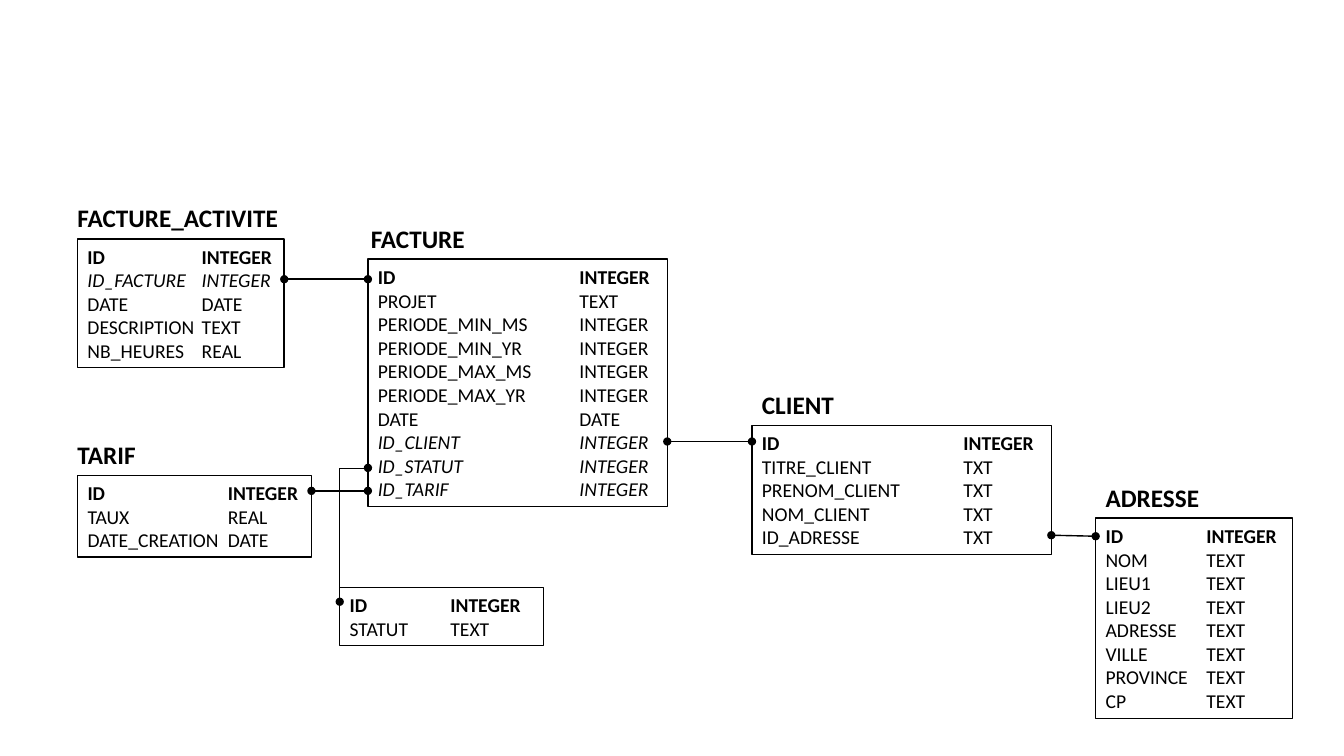
import pptx
import pptx.util
import pptx.dml.color
import pptx.enum.shapes
import pptx.enum.text
import pptx.oxml
import pptx.oxml.ns
from collections import namedtuple

BLACK = pptx.dml.color.RGBColor(0, 0, 0)
WHITE = pptx.dml.color.RGBColor(255, 255, 255)
FONT = "Calibri"
NS = pptx.oxml.ns.nsdecls("a")
qn = pptx.oxml.ns.qn

# Grid of 160 columns by 90 rows
presentation = pptx.Presentation()
presentation.slide_width = pptx.util.Inches(13.33)
presentation.slide_height = pptx.util.Inches(7.5)
COLUMN = presentation.slide_width / 160
ROW = presentation.slide_height / 90
LINE_ROWS, PADDING_ROWS, TITLE_ROWS = 2.83, 1.2, 4.9

# left, top, width and type_tab are in grid units; title_shift moves the title sideways
Entity = namedtuple("Entity", "title left top width type_tab title_shift fields")

ENTITIES = {
    "facture": Entity("FACTURE", 43.8, 30.84, 35.64, 24, -0.84, [
        ("ID", "INTEGER", "key"), ("PROJET", "TEXT", ""),
        ("PERIODE_MIN_MS", "INTEGER", ""), ("PERIODE_MIN_YR", "INTEGER", ""),
        ("PERIODE_MAX_MS", "INTEGER", ""), ("PERIODE_MAX_YR", "INTEGER", ""),
        ("DATE", "DATE", ""), ("ID_CLIENT", "INTEGER", "foreign"),
        ("ID_STATUT", "INTEGER", "foreign"), ("ID_TARIF", "INTEGER", "foreign")]),
    "client": Entity("CLIENT", 89.52, 50.64, 35.64, 24, 0, [
        ("ID", "INTEGER", "key"), ("TITRE_CLIENT", "TXT", ""),
        ("PRENOM_CLIENT", "TXT", ""), ("NOM_CLIENT", "TXT", ""),
        ("ID_ADRESSE", "TXT", "")]),
    "adresse": Entity("ADRESSE", 130.44, 61.68, 23.4, 12, 0, [
        ("ID", "INTEGER", "key"), ("NOM", "TEXT", ""), ("LIEU1", "TEXT", ""),
        ("LIEU2", "TEXT", ""), ("ADRESSE", "TEXT", ""), ("VILLE", "TEXT", ""),
        ("PROVINCE", "TEXT", ""), ("CP", "TEXT", "")]),
    "activite": Entity("FACTURE_ACTIVITE", 9.24, 28.44, 24.6, 13.6, -1.2, [
        ("ID", "INTEGER", "key"), ("ID_FACTURE", "INTEGER", "foreign"),
        ("DATE", "DATE", ""), ("DESCRIPTION", "TEXT", ""), ("NB_HEURES", "REAL", "")]),
    "tarif": Entity("TARIF", 9.24, 56.64, 27.84, 16.7, -1.2, [
        ("ID", "INTEGER", "key"), ("TAUX", "REAL", ""), ("DATE_CREATION", "DATE", "")]),
    "statut": Entity("", 40.44, 69.96, 24.24, 12, 0, [
        ("ID", "INTEGER", "key"), ("STATUT", "TEXT", "")]),
}


def place(left, top, width, height):
    return [round(v) for v in (left * COLUMN, top * ROW, width * COLUMN, height * ROW)]


def write(paragraph, text, size, bold=False, italic=False):
    paragraph.text = text
    paragraph.alignment = pptx.enum.text.PP_ALIGN.LEFT
    font = paragraph.font
    font.name, font.size = FONT, pptx.util.Pt(size)
    font.bold, font.italic = bold, italic
    font.color.rgb = BLACK


def add_title(slide, entity):
    caption = slide.shapes.add_textbox(*place(
        entity.left + entity.title_shift, entity.top - TITLE_ROWS, 27, TITLE_ROWS))
    caption.text_frame.word_wrap = True
    write(caption.text_frame.paragraphs[0], entity.title, 18, bold=True)


def add_entity(slide, entity):
    height = len(entity.fields) * LINE_ROWS + PADDING_ROWS
    frame = slide.shapes.add_shape(
        pptx.enum.shapes.MSO_SHAPE.RECTANGLE,
        *place(entity.left, entity.top, entity.width, height))
    frame.shadow.inherit = False
    frame.fill.solid()
    frame.fill.fore_color.rgb = WHITE
    frame.line.color.rgb = BLACK
    frame.line.width = pptx.util.Pt(1)
    body = frame.text_frame
    body.word_wrap = True
    body.vertical_anchor = pptx.enum.text.MSO_ANCHOR.MIDDLE
    for index, (name, kind, role) in enumerate(entity.fields):
        paragraph = body.add_paragraph() if index else body.paragraphs[0]
        write(paragraph, f"{name}\t{kind}", 14, role == "key", role == "foreign")
        # Tab stop that lines up the field types
        paragraph._p.get_or_add_pPr().insert(0, pptx.oxml.parse_xml(
            f'<a:tabLst {NS}><a:tab pos="{round(entity.type_tab * COLUMN)}" algn="l"/></a:tabLst>'))
    if entity.title:
        add_title(slide, entity)


def add_relation(slide, kind, start, end, weight):
    left, top, right, bottom = place(*start, *end)
    relation = slide.shapes.add_connector(kind, left, top, right, bottom)
    relation.line.color.rgb = BLACK
    relation.line.width = pptx.util.Pt(weight)
    properties = relation._element.spPr
    for end_name in ("headEnd", "tailEnd"):
        properties.find(qn("a:ln")).append(
            pptx.oxml.parse_xml(f'<a:{end_name} {NS} type="oval"/>'))
    properties.append(pptx.oxml.parse_xml(f"<a:effectLst {NS}/>"))
    return relation


def add_straight_relation(slide, source, target, start_row, end_row):
    add_relation(slide, pptx.enum.shapes.MSO_CONNECTOR.STRAIGHT,
                 (source.left + source.width, start_row), (target.left, end_row), 1)


def add_bent_relation(slide, source, target, start_row, end_row):
    # A quarter turn makes the elbow leave sideways and then run down
    middle_x = (source.left + target.left) / 2
    middle_y = (start_row + end_row) / 2
    half_run, half_step = (end_row - start_row) / 2, (source.left - target.left) / 2
    relation = add_relation(
        slide, pptx.enum.shapes.MSO_CONNECTOR.ELBOW,
        (middle_x - half_run, middle_y - half_step),
        (middle_x + half_run, middle_y + half_step), 0.5)
    properties = relation._element.spPr
    properties.find(qn("a:xfrm")).set("rot", "5400000")
    adjustments = properties.find(qn("a:prstGeom")).get_or_add_avLst()
    adjustments.append(pptx.oxml.parse_xml(f'<a:gd {NS} name="adj1" fmla="val 400"/>'))


def build_schema(slide):
    for entity in ENTITIES.values():
        add_entity(slide, entity)
    # Relations between keys
    for source, target, start_row, end_row in [
            ("activite", "facture", 33.24, 33.24),
            ("facture", "client", 52.56, 52.56),
            ("client", "adresse", 63.72, 63.84),
            ("tarif", "facture", 58.44, 58.44)]:
        add_straight_relation(slide, ENTITIES[source], ENTITIES[target], start_row, end_row)
    add_bent_relation(slide, ENTITIES["facture"], ENTITIES["statut"], 55.7, 71.64)


build_schema(presentation.slides.add_slide(presentation.slide_layouts[6]))
presentation.save("out.pptx")
